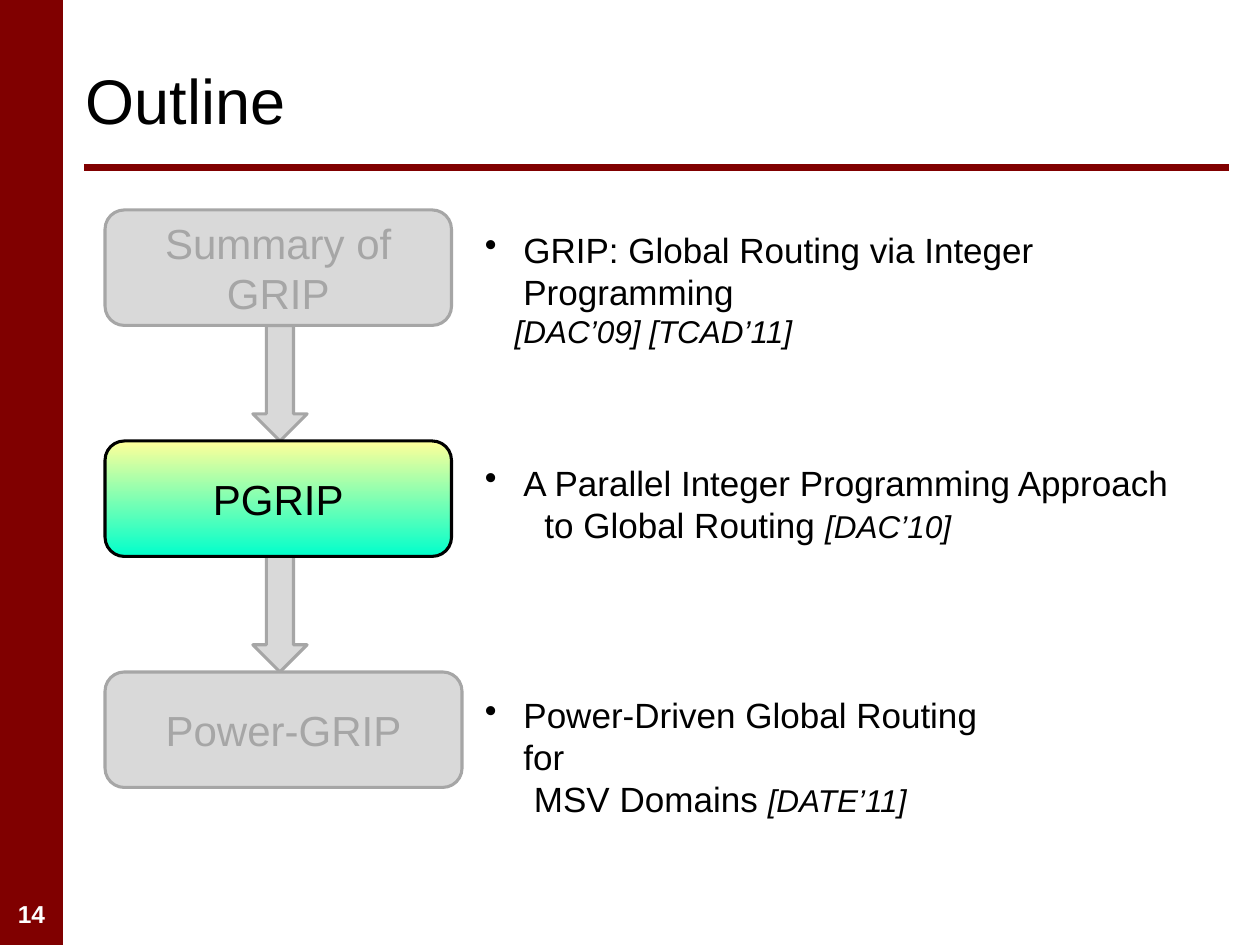
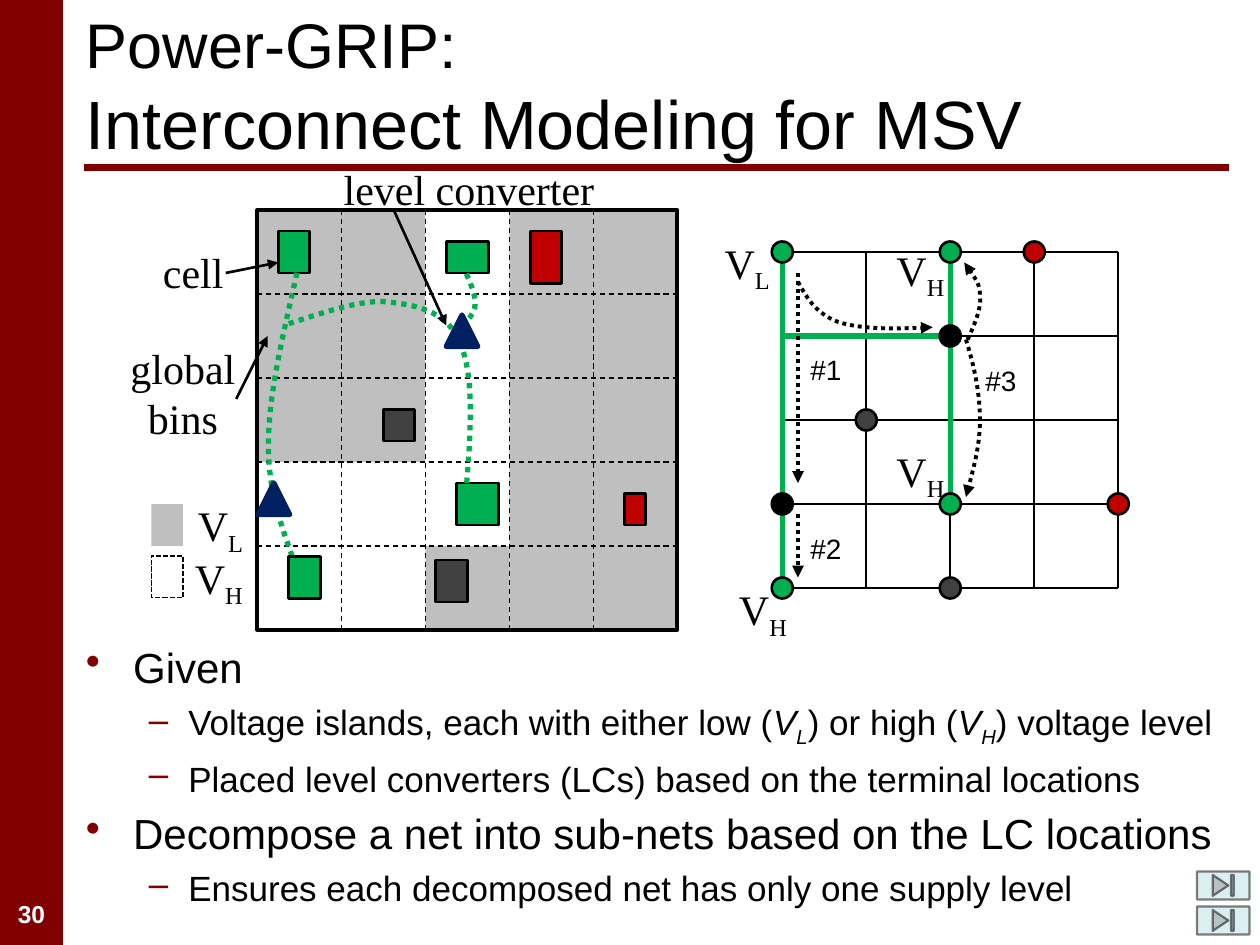
from lxml.etree import SubElement
from pptx import Presentation
from pptx.dml.color import RGBColor
from pptx.enum.dml import MSO_LINE
from pptx.enum.shapes import MSO_CONNECTOR, MSO_SHAPE
from pptx.enum.text import MSO_ANCHOR, PP_ALIGN
from pptx.oxml.ns import qn
from pptx.util import Pt

RECT, ROUND, DOWN = MSO_SHAPE.RECTANGLE, MSO_SHAPE.ROUNDED_RECTANGLE, MSO_SHAPE.DOWN_ARROW
OVAL, PEAK, BUTTON = MSO_SHAPE.OVAL, MSO_SHAPE.ISOSCELES_TRIANGLE, MSO_SHAPE.ACTION_BUTTON_END
DASH, DOT, SHORT = MSO_LINE.DASH, MSO_LINE.ROUND_DOT, MSO_LINE.SQUARE_DOT
LINE = MSO_CONNECTOR.STRAIGHT
LEFT, CENTER = PP_ALIGN.LEFT, PP_ALIGN.CENTER
TOP, MIDDLE = MSO_ANCHOR.TOP, MSO_ANCHOR.MIDDLE

SANS, SERIF = "Arial", "Times New Roman"
BLACK, WHITE, MAROON = "000000", "FFFFFF", "800000"
PALE, MUTED, SHADE, DARK = "D9D9D9", "A6A6A6", "BFBFBF", "404040"
GREEN, RED, NAVY, ICE = "00B050", "C00000", "002060", "BBE0E3"
STEP = 48


def color(code):
    return RGBColor.from_string(code)


def write(para, text, size=24, face=SANS, ink=BLACK, bold=False, slant=False, sub=False):
    for num, part in enumerate(text.split("\n")):
        if num:
            para.add_line_break()
        run = para.add_run()
        run.text = part
        font = run.font
        font.size, font.name = Pt(size), face
        font.bold, font.italic = bold, slant
        font.color.rgb = color(ink)
        if sub:
            run._r.get_or_add_rPr().set("baseline", "-25000")


def frame(slide, x, y, w, h, wrap=True, anchor=TOP):
    area = slide.shapes.add_textbox(Pt(x), Pt(y), Pt(w), Pt(h)).text_frame
    area.word_wrap = wrap
    area.vertical_anchor = anchor
    return area


def label(slide, text, x, y, w, h, align=LEFT, **style):
    para = frame(slide, x, y, w, h, wrap=False).paragraphs[0]
    para.alignment = align
    write(para, text, **style)
    return para


def volt(slide, level, x, y):
    para = label(slide, "V", x, y, 44, 36, CENTER, face=SERIF)
    write(para, level, face=SERIF, sub=True)


def indent(para, left, first=0, mark=None, ink=BLACK):
    props = para._p.get_or_add_pPr()
    props.set("marL", str(Pt(left)))
    props.set("indent", str(Pt(first)))
    if mark:
        tint = SubElement(props, qn("a:buClr"))
        SubElement(tint, qn("a:srgbClr")).set("val", ink)
        SubElement(props, qn("a:buChar")).set("char", mark)


def stroke(item, ink, width, dash=None, tip=False):
    item.line.color.rgb = color(ink)
    item.line.width = Pt(width)
    if dash:
        item.line.dash_style = dash
    if tip:
        edge = item.element.spPr.find(qn("a:ln"))
        SubElement(edge, qn("a:tailEnd")).set("type", "triangle")


def shape(slide, kind, x, y, w, h, fill=None, ink=None, width=1.5, dash=None):
    item = slide.shapes.add_shape(kind, Pt(x), Pt(y), Pt(w), Pt(h))
    item.shadow.inherit = False
    if fill:
        item.fill.solid()
        item.fill.fore_color.rgb = color(fill)
    else:
        item.fill.background()
    if ink:
        stroke(item, ink, width, dash)
    else:
        item.line.fill.background()
    return item


def line(slide, x1, y1, x2, y2, ink=BLACK, width=1.5, dash=None, tip=False):
    item = slide.shapes.add_connector(LINE, Pt(x1), Pt(y1), Pt(x2), Pt(y2))
    SubElement(item.element.spPr, qn("a:effectLst"))
    stroke(item, ink, width, dash, tip)


def curve(slide, points, ink, width, tip=False):
    spots = [(Pt(x), Pt(y)) for x, y in points]
    maker = slide.shapes.build_freeform(*spots[0])
    maker.add_line_segments(spots[1:], close=False)
    item = maker.convert_to_shape()
    item.shadow.inherit = False
    item.fill.background()
    stroke(item, ink, width, DOT, tip)
    route = next(item.element.iter(qn("a:path")))
    parts = route.findall(qn("a:lnTo"))
    for start in range(0, len(parts), 3):
        bend = SubElement(route, qn("a:cubicBezTo"))
        for part in parts[start:start + 3]:
            bend.append(part[0])
            route.remove(part)


def base(deck, number, lines, x=42, y=18, w=660):
    slide = deck.slides.add_slide(deck.slide_layouts[6])
    shape(slide, RECT, 0, 0, 36, 540, MAROON)
    line(slide, 48, 96, 702, 96, MAROON, 4)
    label(slide, number, 0, 510, 36, 24, CENTER, size=14, ink=WHITE, bold=True)
    para = frame(slide, x, y, w, 78, anchor=MIDDLE).paragraphs[0]
    for num, (text, size) in enumerate(lines):
        if num:
            para.add_line_break()
        write(para, text, size)
    return slide


def stage(slide, text, y, w, live=False):
    ink = BLACK if live else MUTED
    item = shape(slide, ROUND, 60, y, w, 66, PALE, ink, 1.75)
    if live:
        item.fill.gradient()
        item.fill.gradient_angle = 270
        for stop, code in zip(item.fill.gradient_stops, ("FFFF99", "00FFCC")):
            stop.color.rgb = color(code)
    area = item.text_frame
    area.word_wrap = False
    area.vertical_anchor = MIDDLE
    area.paragraphs[0].alignment = CENTER
    write(area.paragraphs[0], text, ink=ink)


def paper(slide, y, w, text, rest, cite, left):
    area = frame(slide, 270, y, w, 63)
    para = area.paragraphs[0]
    indent(para, 22, -22, "•")
    write(para, text, 20)
    para = area.add_paragraph()
    indent(para, left)
    if rest:
        write(para, rest, 20)
    write(para, cite, 18, slant=True)


def outline(deck):
    slide = base(deck, "14", [("Outline", 36)])
    for num in range(2):
        shape(slide, DOWN, 144.5, 186 + 132 * num, 31, 66, PALE, MUTED, 1.75)
    stages = [("Summary of\nGRIP", 198), ("PGRIP", 198), ("Power-GRIP", 204)]
    for num, (text, w) in enumerate(stages):
        stage(slide, text, 120 + 132 * num, w, live=text == "PGRIP")
    papers = [
        (448, "GRIP: Global Routing via Integer Programming", "", "[DAC’09] [TCAD’11]", 17),
        (408, "A Parallel Integer Programming Approach", "to Global Routing ", "[DAC’10]", 34),
        (320, "Power-Driven Global Routing for", "MSV Domains ", "[DATE’11]", 28),
    ]
    for num, (w, *words) in enumerate(papers):
        paper(slide, 127 + 133 * num, w, *words)


def chip(slide):
    x, y, side = 147, 120, 5 * STEP
    for col, row, cols, rows in [(0, 0, 2, 3), (2, 4, 1, 1), (3, 0, 2, 5)]:
        shape(slide, RECT, x + col * STEP, y + row * STEP, cols * STEP, rows * STEP, SHADE)
    shape(slide, RECT, x, y, side, side, None, BLACK, 2)
    for gap in range(STEP, side, STEP):
        line(slide, x + gap, y, x + gap, y + side, width=0.75, dash=DASH)
        line(slide, x, y + gap, x + side, y + gap, width=0.75, dash=DASH)
    cells = [
        (357, 282, 12, 18, RED), (303, 132, 18, 30, RED),
        (255, 138, 24, 18, GREEN), (159, 132, 18, 24, GREEN),
        (261, 276, 24, 24, GREEN), (249, 320, 18, 24, DARK), (219, 234, 18, 18, DARK),
    ]
    for *place, fill in cells:
        shape(slide, RECT, *place, fill, BLACK)
    nets = [
        [(171, 150), (163, 186), (154, 222), (153.5, 250), (152.5, 278), (160, 298), (167, 318)],
        [(165, 185), (187, 178), (209, 170), (225, 173), (242, 175), (258, 180), (264, 199),
         (271, 217), (269, 251), (266, 284)],
        [(264, 151), (268, 160), (272, 168), (271.5, 174), (271, 181), (265, 185), (259, 190)],
    ]
    for net in nets:
        curve(slide, net, GREEN, 3)
    shape(slide, RECT, 165, 318, 18, 24, GREEN, BLACK)
    for left, top in [(255, 180), (147.5, 276)]:
        shape(slide, PEAK, left, top, 18, 18, NAVY, NAVY, 3)

    label(slide, "cell", 86, 137.5, 49, 36, face=SERIF)
    label(slide, "global\nbins", 64, 192, 81, 66, CENTER, face=SERIF)
    label(slide, "level converter", 188.5, 90, 159, 36, CENTER, face=SERIF)
    for ends in [(129, 156, 159, 150), (135, 228, 153, 192), (225, 120, 255, 186)]:
        line(slide, *ends, tip=True)
    shape(slide, RECT, 86.5, 288, 18, 24, SHADE)
    shape(slide, RECT, 86.5, 317.5, 18, 24, WHITE, BLACK, 1, SHORT)
    volt(slide, "L", 104, 282)
    volt(slide, "H", 103, 312)


def graph(slide):
    x, y, side = 447, 144, 4 * STEP
    for gap in range(0, side + 1, STEP):
        line(slide, x, y + gap, x + side, y + gap, width=1.25)
        line(slide, x + gap, y, x + gap, y + side, width=1.25)
    for ends in [(0, 0, 0, 4), (2, 0, 2, 3), (0, 1, 2, 1)]:
        c1, r1, c2, r2 = [STEP * end for end in ends]
        line(slide, x + c1, y + r1, x + c2, y + r2, GREEN, 3)
    for level, left, top in [("H", 504, 251), ("H", 504, 136), ("L", 405, 132), ("H", 414, 330)]:
        volt(slide, level, left, top)
    dots = {
        GREEN: [(0, 0), (2, 0), (2, 3), (0, 4)],
        DARK: [(1, 2), (2, 4)],
        RED: [(3, 0), (4, 3)],
        BLACK: [(2, 1), (0, 3)],
    }
    for fill, spots in dots.items():
        for col, row in spots:
            shape(slide, OVAL, x + col * STEP - 6, y + row * STEP - 6, 12, 12, fill, BLACK)
    for text, left, top in [("#1", 456, 198), ("#2", 456, 300), ("#3", 556, 204)]:
        label(slide, text, left, top, 32, 27, size=16)
    for top, end in [(156, 276), (294, 330)]:
        line(slide, 456, top, 456, end, width=2.25, dash=DOT, tip=True)
    hops = [
        [(456, 161), (461, 170), (466, 179), (479, 184), (492, 188), (512, 188), (533, 187)],
        [(553, 194), (557, 185), (561, 176), (560, 169), (560, 162), (555, 156), (551, 150)],
        [(552, 194), (557, 210), (560, 225), (560, 240), (560, 254), (556, 269), (552, 284)],
    ]
    for hop in hops:
        curve(slide, hop, BLACK, 2.25, tip=True)


def notes(slide):
    area = frame(slide, 42, 363, 684, 156)
    items = [
        (0, ["Given"]),
        (1, ["Voltage islands, each with either low (", "L", ") or high (", "H", ") voltage level"]),
        (1, ["Placed level converters (LCs) based on the terminal locations"]),
        (0, ["Decompose a net into sub-nets based on the LC locations"]),
        (1, ["Ensures each decomposed net has only one supply level"]),
    ]
    for num, (deep, parts) in enumerate(items):
        para = area.add_paragraph() if num else area.paragraphs[0]
        if deep:
            indent(para, 58.5, -22.5, "–", MAROON)
        else:
            indent(para, 27, -27, "•", MAROON)
        if num:
            para.space_before = Pt(5)
        size = 20 if deep else 24
        for part in parts:
            if part in ("L", "H"):
                write(para, "V", size, slant=True)
                write(para, part, size, slant=True, sub=True)
            else:
                write(para, part, size)


def button(slide, y):
    item = shape(slide, BUTTON, 684, y, 30, 16, ICE, BLACK, 1.25)
    for tint in item.element.spPr.iter(qn("a:srgbClr")):
        SubElement(tint, qn("a:alpha")).set("val", "50000")


def model(deck):
    lines = [("Power-GRIP:", 36), ("Interconnect Modeling for MSV", 39)]
    slide = base(deck, "30", lines, y=9, w=768 - 90)
    chip(slide)
    graph(slide)
    notes(slide)
    for y in (498, 518):
        button(slide, y)


def main():
    deck = Presentation()
    deck.slide_width, deck.slide_height = Pt(720), Pt(540)
    outline(deck)
    model(deck)
    deck.save("out.pptx")


if __name__ == "__main__":
    main()
